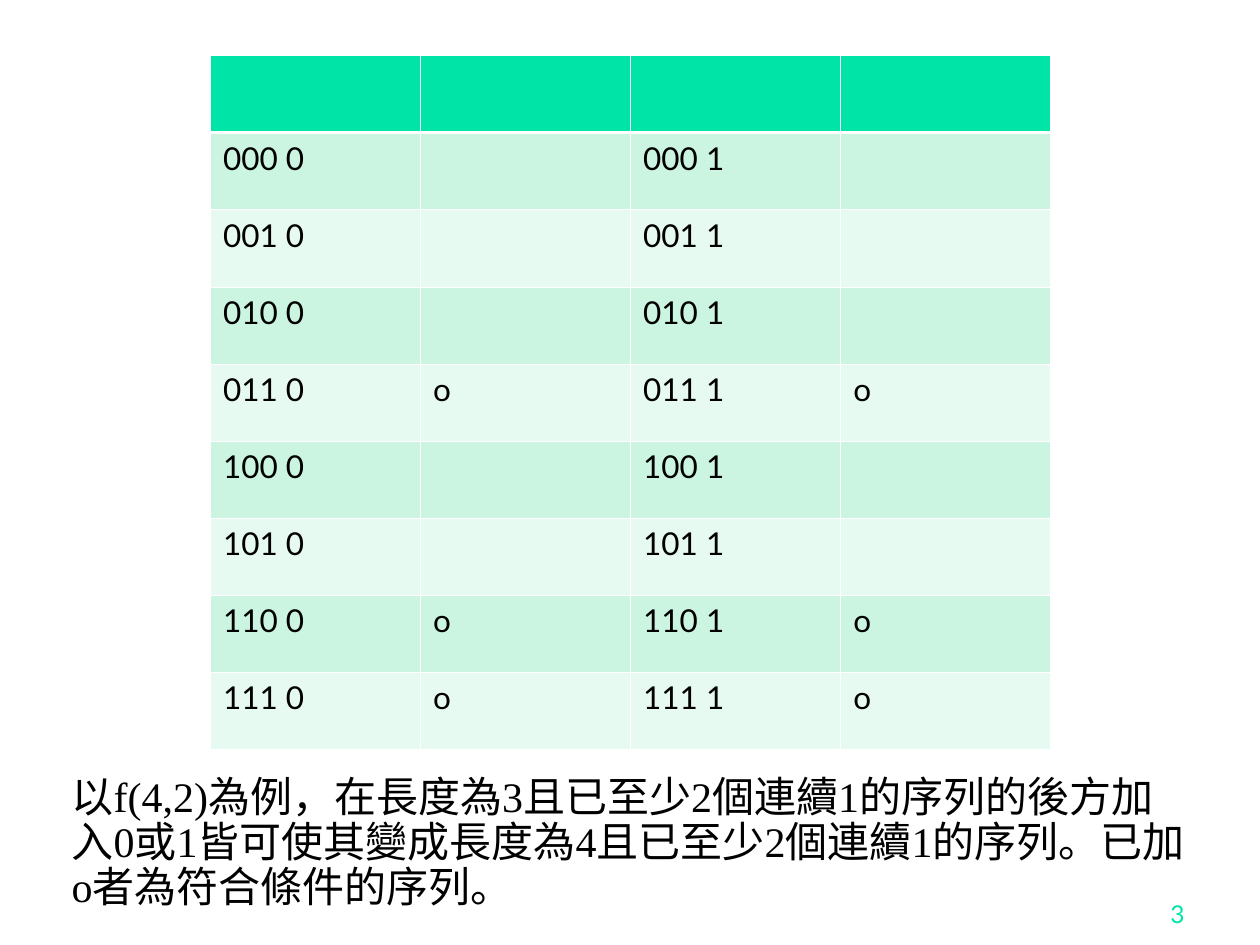
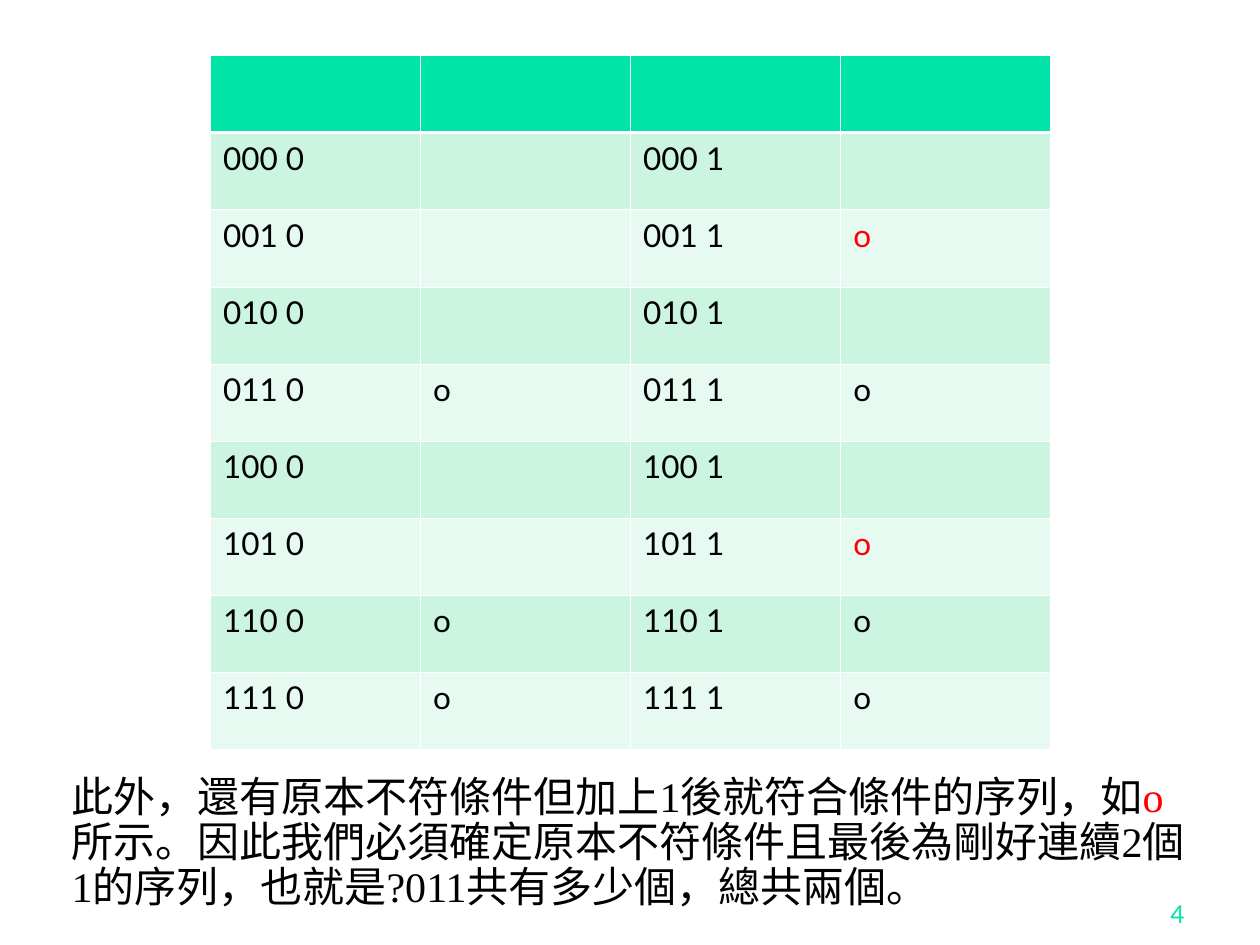
from dataclasses import dataclass
from itertools import product

from lxml.etree import SubElement
from pptx import Presentation
from pptx.dml.color import RGBColor as Color
from pptx.enum.text import MSO_ANCHOR as Anchor, PP_ALIGN as Align
from pptx.oxml.ns import qn
from pptx.util import Inches, Pt


@dataclass(frozen=True)
class Theme:
    accent: str = "00E4A8"
    bands: tuple = ("CBF5E1", "E7FAF1")
    grid: str = "FFFFFF"
    ink: str = "000000"
    mark: str = "FF0000"
    table_font: str = "Lato"
    note_font: str = "Times New Roman"
    number_size: int = 14
    table_size: int = 18
    note_size: int = 24
    thin: float = 0.45
    thick: float = 1.47


THEME = Theme()
TABLE_BOX = (1.67, 0.44, 6.67, 5.51)
NOTE_BOX = (0.47, 6.11, 9.08, 1.26)
NUMBER_BOX = (7.42, 6.92, 2.08, 0.5)
PREFIXES = ["".join(bits) for bits in product("01", repeat=3)]

PAGES = [
    (3, False, [
        ("以f(4,2)為例，在長度為3且已至少2個連續1的序列的後方加入0或1皆可使其變成長度為4"
         "且已至少2個連續1的序列。已加o者為符合條件的序列。", THEME.ink),
    ]),
    (4, True, [
        ("此外，還有原本不符條件但加上1後就符合條件的序列，如", THEME.ink),
        ("o", THEME.mark),
        ("所示。因此我們必須確定原本不符條件且最後為剛好連續2個1的序列，"
         "也就是?011共有多少個，總共兩個。", THEME.ink),
    ]),
]


def add_span(para, text, name, size, color):
    span = para.add_run()
    span.text = text
    for key, value in {"name": name, "size": Pt(size)}.items():
        setattr(span.font, key, value)
    span.font.color.rgb = Color.from_string(color)


def add_text(page, box, spans, name, size, frame_format, para_format):
    frame = page.shapes.add_textbox(*map(Inches, box)).text_frame
    para = frame.paragraphs[0]
    for target, values in ((frame, frame_format), (para, para_format)):
        for key, value in values.items():
            setattr(target, key, value)
    for text, color in spans:
        add_span(para, text, name, size, color)


def add_number(page, box, number):
    add_text(page, box, [(str(number), THEME.accent)], THEME.table_font, THEME.number_size,
             {"word_wrap": True, "vertical_anchor": Anchor.BOTTOM}, {"alignment": Align.RIGHT})


def add_note(page, box, spans):
    add_text(page, box, spans, THEME.note_font, THEME.note_size,
             {"word_wrap": True}, {"line_spacing": 0.9})


def style_cell(cell, row):
    widths = {
        "lnL": THEME.thin,
        "lnR": THEME.thin,
        "lnT": THEME.thick if row == 1 else THEME.thin,
        "lnB": THEME.thick if row == 0 else THEME.thin,
    }
    properties = cell._tc.get_or_add_tcPr()
    for side, width in widths.items():
        line = SubElement(properties, qn(f"a:{side}"), w=str(Pt(width)))
        fill = SubElement(line, qn("a:solidFill"))
        SubElement(fill, qn("a:srgbClr"), val=THEME.grid)
    cell.fill.solid()
    color = THEME.bands[(row - 1) % 2] if row else THEME.accent
    cell.fill.fore_color.rgb = Color.from_string(color)


def sequence_cells(prefix, show_new):
    cells = []
    for digit in "01":
        cells.append((f"{prefix} {digit}", THEME.ink))
        if "11" in prefix:
            cells.append(("o", THEME.ink))
        elif show_new and "11" in prefix + digit:
            cells.append(("o", THEME.mark))
        else:
            cells.append(None)
    return cells


def add_sequence_table(page, box, show_new):
    rows = [[None] * 4] + [sequence_cells(prefix, show_new) for prefix in PREFIXES]
    left, top, width, height = map(Inches, box)
    table = page.shapes.add_table(len(rows), 4, left, top, width, height).table
    for row, entries in enumerate(rows):
        for column, entry in enumerate(entries):
            cell = table.cell(row, column)
            style_cell(cell, row)
            if entry:
                text, color = entry
                add_span(cell.text_frame.paragraphs[0], text,
                         THEME.table_font, THEME.table_size, color)


def add_page(deck, number, show_new, note):
    page = deck.slides.add_slide(deck.slide_layouts[6])
    add_number(page, NUMBER_BOX, number)
    add_sequence_table(page, TABLE_BOX, show_new)
    add_note(page, NOTE_BOX, note)


def main():
    deck = Presentation()
    deck.slide_width, deck.slide_height = Inches(10), Inches(7.5)
    for number, show_new, note in PAGES:
        add_page(deck, number, show_new, note)
    deck.save("out.pptx")


if __name__ == "__main__":
    main()
